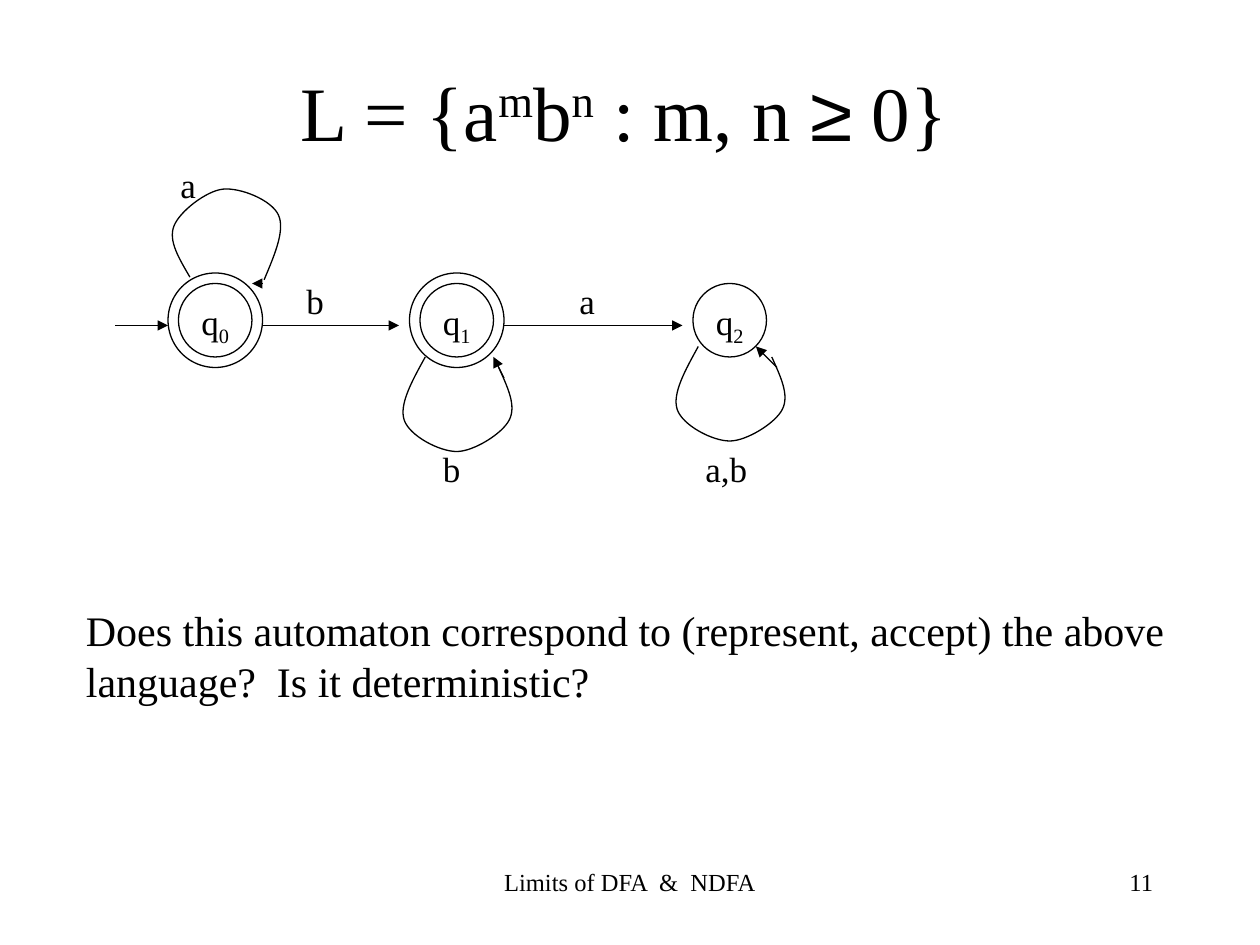
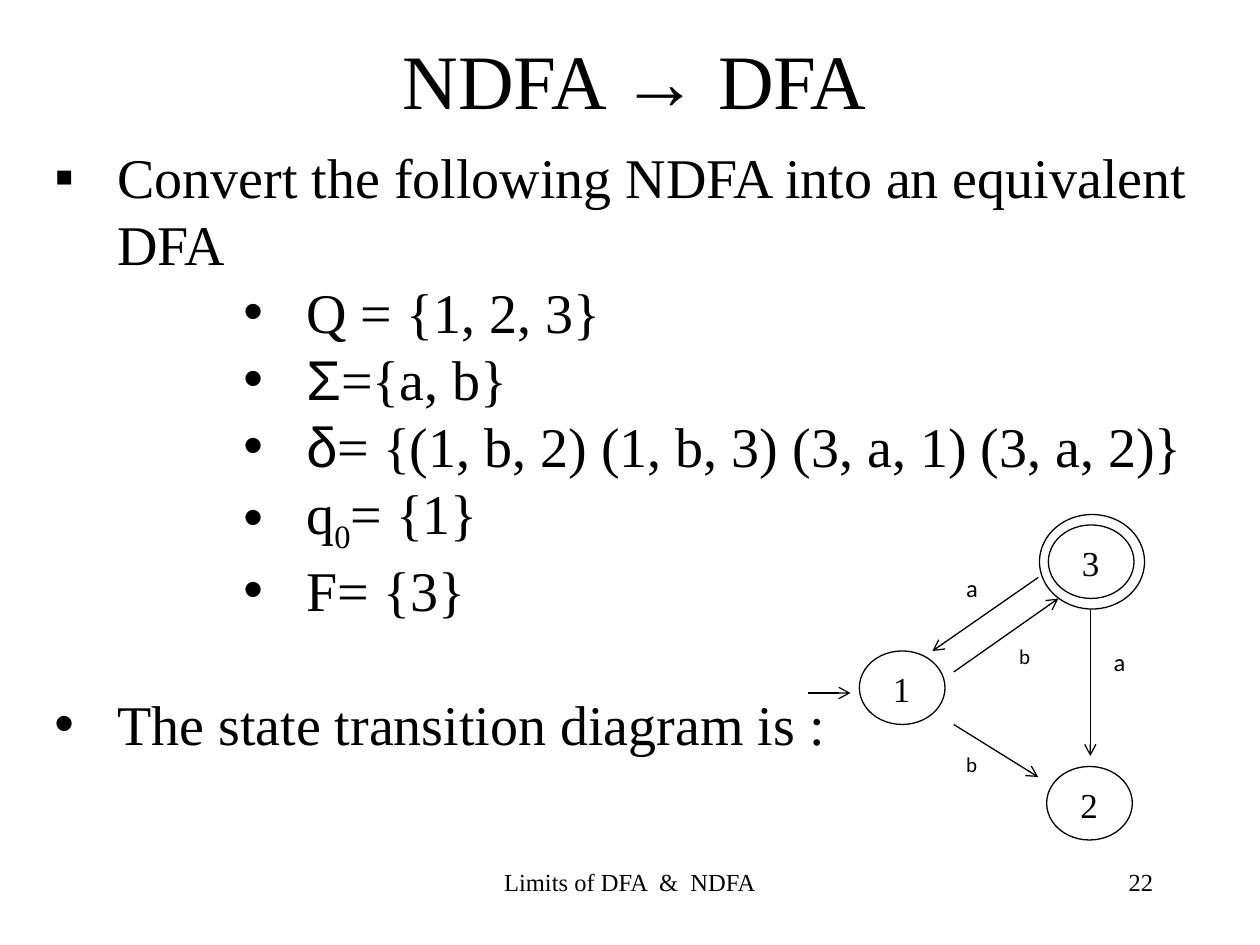
from lxml import etree
from pptx import Presentation
from pptx.dml.color import RGBColor
from pptx.enum.shapes import MSO_CONNECTOR as CONN, MSO_SHAPE as SHAPE
from pptx.enum.text import MSO_ANCHOR as ANCHOR, PP_ALIGN as ALIGN
from pptx.oxml.ns import qn
from pptx.util import Inches, Pt

BLACK = RGBColor(0x00, 0x00, 0x00)
WHITE = RGBColor(0xFF, 0xFF, 0xFF)
SERIF, SANS, LABEL = "Times New Roman", "Arial", "Calibri"
SYMBOLS = "≥→Σδ"  # set in the sans font
SUP, SUB = 30, -25  # baseline shift in percent
FOOTER = "Limits of DFA  &  NDFA"

COLS, ROWS = 120, 90  # grid of 1/12 inch squares
CELL = Inches(10) / COLS

# Loop below a state, in cells: the start, then three points per cubic curve
LOOP = [
    (2.5, 0),
    (1.25, 2.28), (0, 4.5), (0.5, 6),
    (1, 7.5), (3.84, 9), (5.5, 9),
    (7.1, 9), (9.84, 7.3), (10.5, 6),
    (11.2, 4.65), (10.35, 2.9), (9.5, 1),
]


def grid(*cells):
    return [round(c * CELL) for c in cells]


class Deck:
    def __init__(self):
        self.prs = Presentation()
        self.prs.slide_width, self.prs.slide_height = grid(COLS, ROWS)

    def slide(self, title, left, top, number):
        """New slide with its title, footer and number."""
        self.s = self.prs.slides.add_slide(self.prs.slide_layouts[6])
        box = self.text(left, top, 110.9, 15, title, 44, align=ALIGN.CENTER)
        box.text_frame.vertical_anchor = ANCHOR.MIDDLE
        self.text(41, 82, 38, 6, [FOOTER], 14, align=ALIGN.CENTER)
        self.text(86, 82, 25, 6, [number], 14, align=ALIGN.RIGHT)

    def runs(self, p, parts, size, font=SERIF, align=ALIGN.LEFT):
        """Fill a paragraph; a part is a string or (string, baseline)."""
        p.alignment = align
        for part in parts:
            text, shift = (part, 0) if isinstance(part, str) else part
            r = p.add_run()
            r.text = text
            r.font.size = Pt(size)
            r.font.name = SANS if text in SYMBOLS else font
            r.font.color.rgb = BLACK
            if shift:
                r.font._element.set("baseline", str(shift * 1000))

    def text(self, x, y, w, h, parts, size, align=ALIGN.LEFT):
        box = self.s.shapes.add_textbox(*grid(x, y, w, h))
        box.text_frame.word_wrap = True
        self.runs(box.text_frame.paragraphs[0], parts, size, align=align)
        return box

    def bullets(self, x, y, w, h, items, size):
        """Items are (bullet, indent in inches, space before, parts)."""
        box = self.s.shapes.add_textbox(*grid(x, y, w, h))
        tf = box.text_frame
        tf.word_wrap = True
        for i, (char, indent, before, parts) in enumerate(items):
            p = tf.add_paragraph() if i else tf.paragraphs[0]
            self.runs(p, parts, size)
            p.space_before = Pt(before)
            pPr = p._p.get_or_add_pPr()
            pPr.set("marL", str(Inches(indent)))
            pPr.set("indent", str(-Inches(0.5)))
            etree.SubElement(pPr, qn("a:buFont")).set("typeface", SANS)
            etree.SubElement(pPr, qn("a:buChar")).set("char", char)

    def outline(self, sp, fill=None, line=BLACK):
        sp.shadow.inherit = False
        sp.line.color.rgb = line
        sp.line.width = Pt(0.75)
        if fill is None:
            sp.fill.background()
        else:
            sp.fill.solid()
            sp.fill.fore_color.rgb = fill

    def circle(self, x, y, w, h, fill=None, name=None):
        sp = self.s.shapes.add_shape(SHAPE.OVAL, *grid(x, y, w, h))
        self.outline(sp, fill)
        if name:
            tf = sp.text_frame
            tf.word_wrap = False
            tf.vertical_anchor = ANCHOR.TOP
            self.runs(tf.paragraphs[0], [name], 20)

    def edge_label(self, x, y, text, size):
        sp = self.s.shapes.add_shape(SHAPE.RECTANGLE, *grid(x, y, 2.64, 3.36))
        self.outline(sp, WHITE, WHITE)
        sp.text_frame.vertical_anchor = ANCHOR.TOP
        self.runs(sp.text_frame.paragraphs[0], [text], size, LABEL)

    def arrow(self, x1, y1, x2, y2, head="triangle"):
        c = self.s.shapes.add_connector(CONN.STRAIGHT, *grid(x1, y1, x2, y2))
        c.line.color.rgb = BLACK
        c.line.width = Pt(0.75)
        etree.SubElement(c.line._get_or_add_ln(), qn("a:tailEnd")).set("type", head)
        etree.SubElement(c._element.spPr, qn("a:effectLst"))

    def loop(self, x, y, rotation=0):
        start, *rest = [grid(x + px, y + py) for px, py in LOOP]
        fb = self.s.shapes.build_freeform(*start)
        fb.add_line_segments(rest, close=False)
        sp = fb.convert_to_shape()
        # Turn every three straight segments into one cubic curve
        segments = list(sp._element.iter(qn("a:lnTo")))
        for i in range(0, len(segments), 3):
            curve = etree.Element(qn("a:cubicBezTo"))
            segments[i].addprevious(curve)
            for segment in segments[i:i + 3]:
                curve.append(segment[0])
                segment.getparent().remove(segment)
        self.outline(sp)
        sp.rotation = rotation


def language_slide(deck):
    deck.slide(["L = {a", ("m", SUP), "b", ("n", SUP), " : m, n ", "≥", " 0}"],
               4, 3, "11")

    # States: inner circle, ring when accepting, name
    for i, (x, name_x, accepting) in enumerate(
            [(17, 18, True), (40, 41, True), (66, 67, False)]):
        deck.circle(x, 27, 7, 7)
        if accepting:
            deck.circle(x - 1, 26, 9, 9)
        deck.text(name_x, 28, 7, 5.8, ["q", (str(i), SUB)], 20)

    # Loops and their arrowheads
    for place in [(16, 18, 174), (38, 34), (64, 33)]:
        deck.loop(*place)
    for ends in [(25, 27, 24, 27), (48, 36, 47, 34), (74, 35, 72, 33)]:
        deck.arrow(*ends)

    # Transitions
    for x1, x2 in [(11, 16), (25, 38), (48, 65)]:
        deck.arrow(x1, 31, x2, 31)
    for x, y, w, text in [(16, 15, 4, "a"), (28, 26, 7, "b"), (54, 26, 6, "a"),
                          (41, 42, 5, "b"), (66, 42, 7, "a,b")]:
        deck.text(x, y, w, 5.3, [text], 20)

    # Question
    deck.text(7, 57, 108, 18, ["Does this automaton correspond to (represent, accept) "
                               "the above language?  Is it deterministic?"], 24)


def conversion_slide(deck):
    deck.slide(["NDFA ", "→", " DFA"], 5, 0, "22")

    # Definition of the automaton
    definition = [
        ["Q = {1, 2, 3}"],
        ["Σ", "={a, b}"],
        ["δ", "= {(1, b, 2) (1, b, 3) (3, a, 1) (3, a, 2)}"],
        ["q", ("0", SUB), "= {1}"],
        ["F= {3}"],
    ]
    deck.bullets(4, 13, 116, 66, [
        ("▪", 0.5, 0, ["Convert the following NDFA into an equivalent DFA"]),
        *[("•", 2, 0, parts) for parts in definition],
        ("•", 0.5, 38.4, ["The state transition diagram is :"]),
    ], 32)

    # States of the diagram
    deck.circle(99, 49, 10, 9, WHITE)
    for x, y, name in [(99.84, 50, " 3"), (81.84, 62, " 1"), (99.68, 73, " 2")]:
        deck.circle(x, y, 8.16, 7, WHITE, name)

    # Transitions
    for x, y, text, size in [(95.88, 60.72, "b", 12), (104.88, 61, "a", 14),
                             (90.84, 54, "a", 14), (90.84, 71, "b", 12)]:
        deck.edge_label(x, y, text, size)
    for ends in [(98.88, 55, 88.8, 62), (90.84, 64, 100.8, 57),
                 (90.84, 69, 98.88, 74), (103.84, 58, 103.84, 72), (77, 66, 81, 66)]:
        deck.arrow(*ends, head="arrow")


def main():
    deck = Deck()
    language_slide(deck)
    conversion_slide(deck)
    deck.prs.save("out.pptx")


if __name__ == "__main__":
    main()
